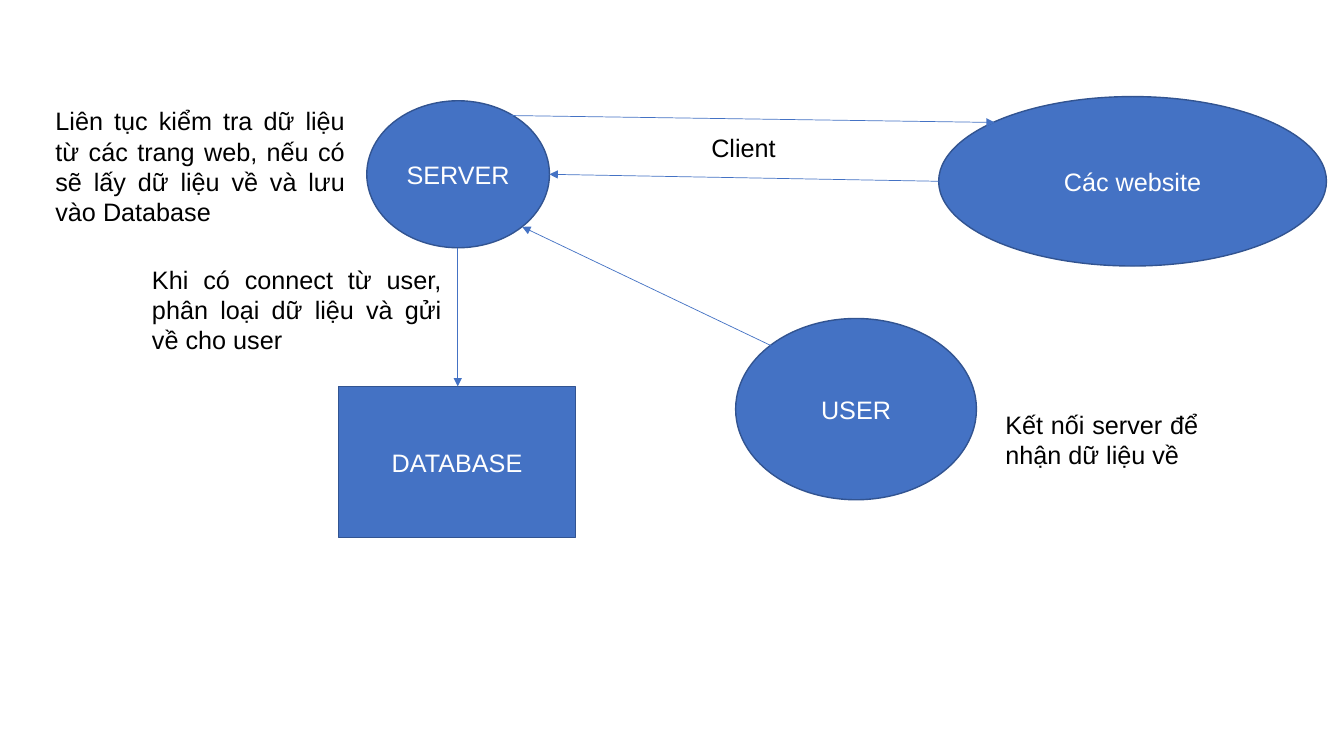
from lxml import etree
from pptx import Presentation
from pptx.dml.color import RGBColor
from pptx.enum.shapes import MSO_CONNECTOR, MSO_SHAPE
from pptx.enum.text import MSO_ANCHOR, MSO_AUTO_SIZE, PP_ALIGN
from pptx.oxml.ns import qn
from pptx.util import Pt

BLUE = RGBColor(0x44, 0x72, 0xC4)
NAVY = RGBColor(0x32, 0x54, 0x91)
WHITE = RGBColor(0xFF, 0xFF, 0xFF)
BLACK = RGBColor(0x00, 0x00, 0x00)

OVAL, RECT = MSO_SHAPE.OVAL, MSO_SHAPE.RECTANGLE
LINE = MSO_CONNECTOR.STRAIGHT
LEFT, MID, FULL = PP_ALIGN.LEFT, PP_ALIGN.CENTER, PP_ALIGN.JUSTIFY
TOP, HALF = MSO_ANCHOR.TOP, MSO_ANCHOR.MIDDLE
GROW = MSO_AUTO_SIZE.SHAPE_TO_FIT_TEXT


def write(frame, text, font="Arial", size=18, color=BLACK, align=LEFT, anchor=TOP):
    frame.word_wrap = True
    frame.vertical_anchor = anchor
    par = frame.paragraphs[0]
    par.alignment = align
    run = par.add_run()
    run.text = text
    run.font.name = font
    run.font.size = Pt(size)
    run.font.color.rgb = color


class Board:
    """Holds the slide and the style of its nodes, notes and arrows."""

    fill, edge, wire = BLUE, NAVY, BLUE

    def __init__(self, slide):
        self.shapes = slide.shapes

    def node(self, kind, text, *box):
        shape = self.shapes.add_shape(kind, *map(Pt, box))
        shape.shadow.inherit = False
        shape.fill.solid()
        shape.fill.fore_color.rgb = self.fill
        shape.line.color.rgb = self.edge
        shape.line.width = Pt(1)
        write(shape.text_frame, text, color=WHITE, align=MID, anchor=HALF)

    def note(self, text, *box, align=FULL):
        frame = self.shapes.add_textbox(*map(Pt, box)).text_frame
        write(frame, text, align=align)
        frame.auto_size = GROW

    def arrow(self, *ends):
        """Draw a line from x1, y1 to x2, y2 with a head at the second point."""
        link = self.shapes.add_connector(LINE, *map(Pt, ends))
        link.line.color.rgb = self.wire
        link.line.width = Pt(0.5)
        etree.SubElement(link.line._get_or_add_ln(), qn("a:tailEnd"), type="triangle")
        etree.SubElement(link._element.spPr, qn("a:effectLst"))


def main():
    deck = Presentation()
    deck.slide_width, deck.slide_height = Pt(960), Pt(540)
    board = Board(deck.slides.add_slide(deck.slide_layouts[6]))

    board.node(OVAL, "SERVER", 262, 72, 130.5, 105)
    board.node(OVAL, "Các website", 670.5, 69, 277, 121)
    board.node(RECT, "DATABASE", 242, 276, 169, 108)
    board.node(OVAL, "USER", 525.5, 227.5, 172, 129.5)

    board.arrow(362, 82.5, 710.5, 87.5)
    board.arrow(670.5, 129.5, 392.5, 124.5)
    board.arrow(327, 177, 327, 276)
    board.arrow(551, 247, 373, 162)

    board.note("Liên tục kiểm tra dữ liệu từ các trang web, nếu có sẽ lấy dữ liệu "
               "về và lưu vào Database", 32.5, 72, 221, 94.5)
    board.note("Client", 501, 91, 169, 29, align=LEFT)
    board.note("Kết nối server để nhận dữ liệu về", 711, 289, 152, 51)
    board.note("Khi có connect từ user, phân loại dữ liệu và gửi về cho user",
               101.5, 185, 221, 72.5)

    deck.save("out.pptx")


if __name__ == "__main__":
    main()
